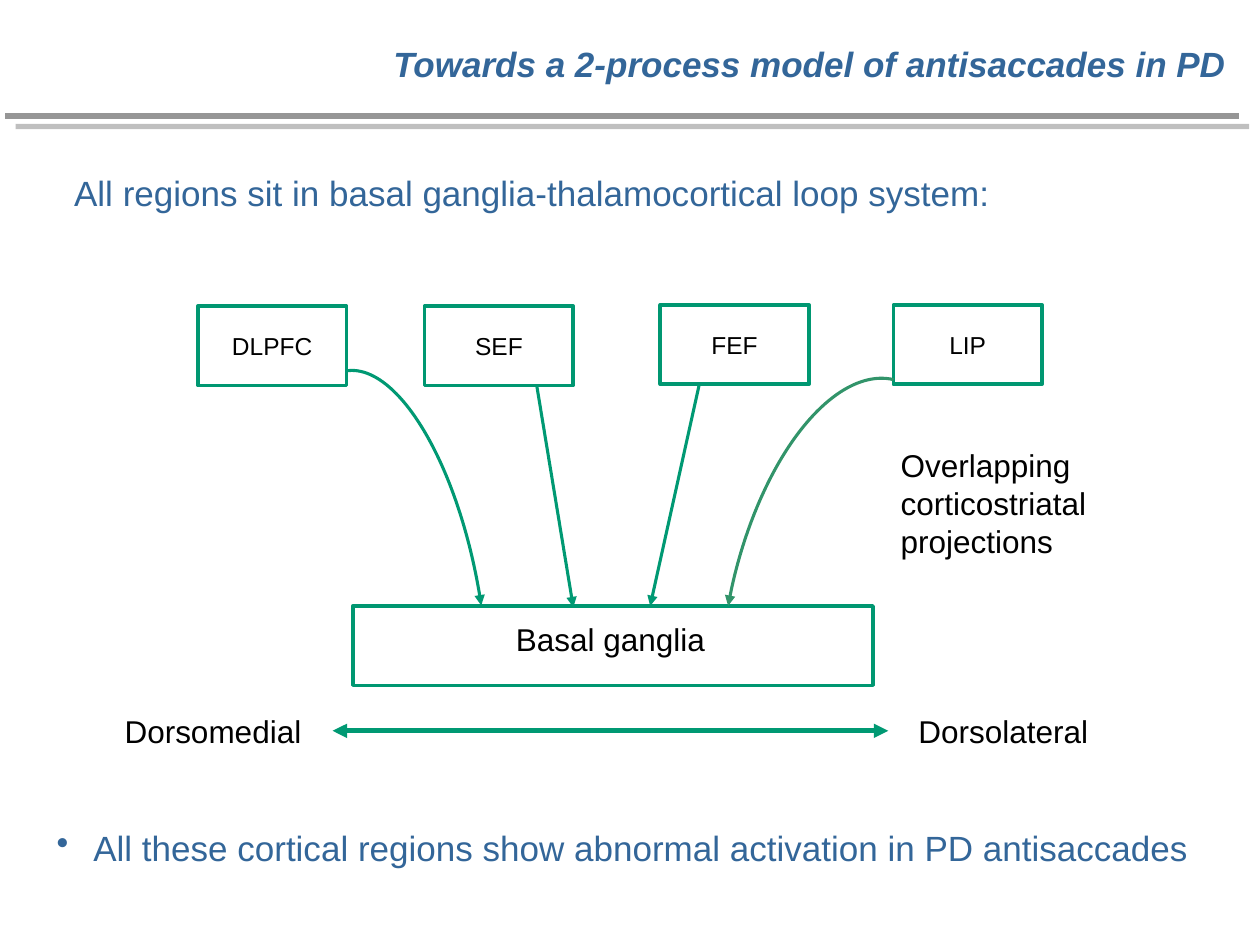
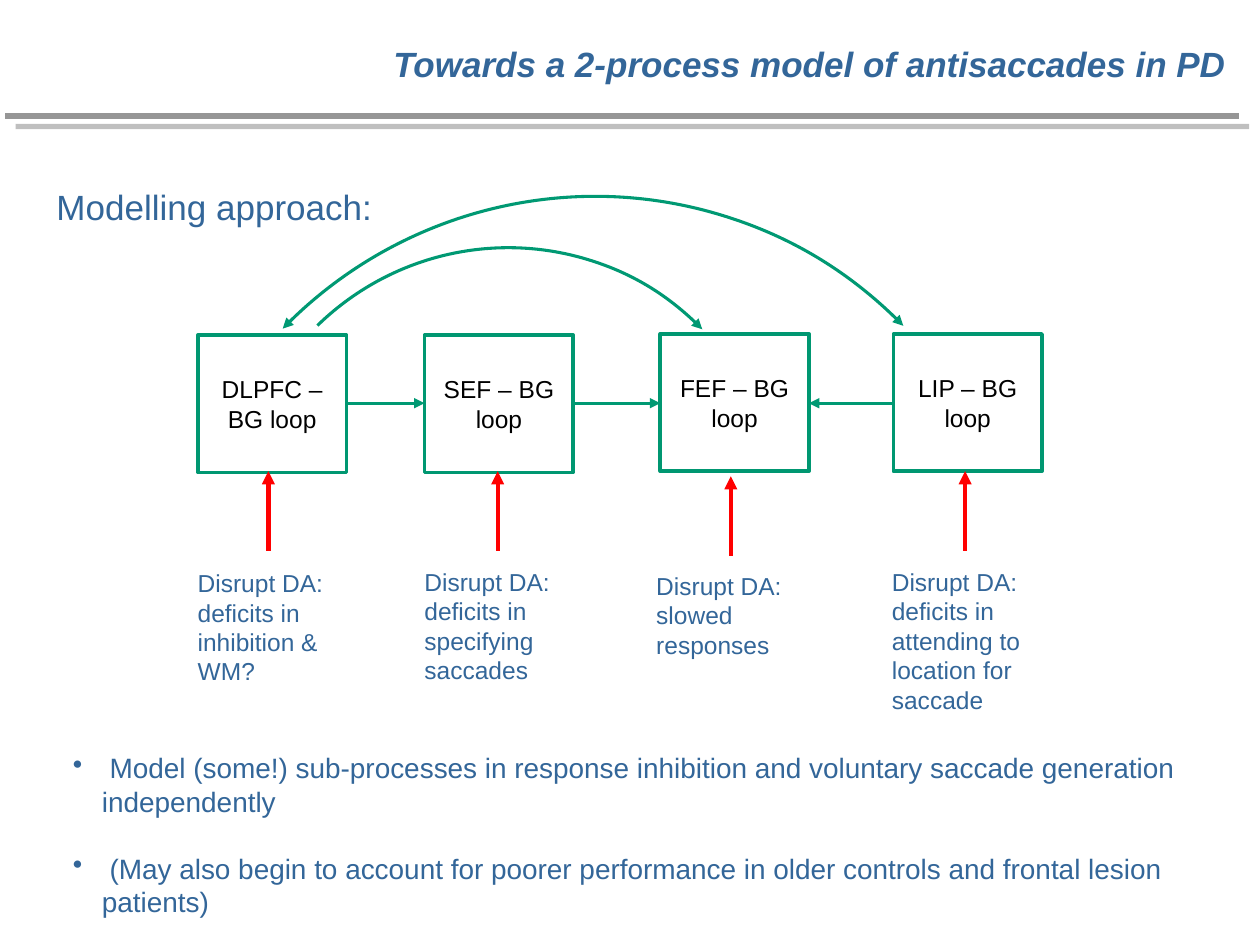
"""Builds two slides on a 2-process model of antisaccades in PD."""
from lxml import etree
from pptx import Presentation
from pptx.dml.color import RGBColor
from pptx.enum.shapes import MSO_CONNECTOR, MSO_SHAPE
from pptx.enum.text import MSO_ANCHOR, PP_ALIGN
from pptx.oxml.ns import qn
from pptx.util import Inches, Pt

STRAIGHT = MSO_CONNECTOR.STRAIGHT
RECTANGLE, ARC = MSO_SHAPE.RECTANGLE, MSO_SHAPE.ARC
LEFT, CENTER, RIGHT = PP_ALIGN.LEFT, PP_ALIGN.CENTER, PP_ALIGN.RIGHT
TOP, MIDDLE = MSO_ANCHOR.TOP, MSO_ANCHOR.MIDDLE

FONT = "Arial"
BLUE, BLACK, GREY, SHADOW = "336699", "000000", "969696", "808080"
BOX_GREEN, ARROW_GREEN, ARC_GREEN, RED = "009771", "009973", "32946A", "FF0000"
TITLE = "Towards a 2-process model of antisaccades in PD"
REGION_LEFTS = [1.57, 3.37, 5.24, 7.09]
REGION_WIDTH = 1.18
BULLET_INDENT = Inches(0.23)


def write(shape, text, size=14, color=BLUE, align=LEFT, anchor=TOP,
          bold=False, italic=False, bullet=False, gap=0):
    """Fills a shape with formatted paragraphs, one per line of text."""
    frame = shape.text_frame
    frame.word_wrap = True
    frame.vertical_anchor = anchor
    frame.text = text
    for index, paragraph in enumerate(frame.paragraphs):
        paragraph.alignment = align
        paragraph.space_before = Pt(gap if index else 0)
        font = paragraph.font
        font.name, font.size, font.bold, font.italic = FONT, Pt(size), bold, italic
        font.color.rgb = RGBColor.from_string(color)
        for run in paragraph.runs:
            run.font.name, run.font.size = FONT, Pt(size)
            run.font.bold, run.font.italic = bold, italic
            run.font.color.rgb = RGBColor.from_string(color)
        if bullet:
            properties = paragraph._p.get_or_add_pPr()
            properties.set("marL", str(BULLET_INDENT))
            properties.set("indent", str(-BULLET_INDENT))
            mark = etree.Element(qn("a:buChar"), char="•")
            properties.find(qn("a:defRPr")).addprevious(mark)


def stroke(shape, color, width, head=False, tail=False):
    """Styles an outline with optional arrowheads and returns its empty effect list."""
    shape.line.color.rgb = RGBColor.from_string(color)
    shape.line.width = Pt(width)
    outline = shape.line._get_or_add_ln()
    for wanted, tag in ((head, "a:headEnd"), (tail, "a:tailEnd")):
        if wanted:
            etree.SubElement(outline, qn(tag), type="triangle")
    return etree.SubElement(shape._element.spPr, qn("a:effectLst"))


presentation = Presentation()
presentation.slide_width, presentation.slide_height = Inches(10), Inches(7.5)
blank_layout = presentation.slide_layouts[6]
slides = [presentation.slides.add_slide(blank_layout) for _ in range(2)]
loops_slide, model_slide = slides

for slide in slides:
    rule = slide.shapes.add_connector(
        STRAIGHT, Inches(0.04), Inches(0.92), Inches(9.83), Inches(0.92))
    effects = stroke(rule, GREY, 3)
    shadow = etree.SubElement(effects, qn("a:outerShdw"), dist=str(Pt(8.5)),
                              dir="2700000", algn="ctr", rotWithShape="0")
    shadow_color = etree.SubElement(shadow, qn("a:srgbClr"), val=SHADOW)
    etree.SubElement(shadow_color, qn("a:alpha"), val="50000")
    title = slide.shapes.add_textbox(Inches(2.33), Inches(0.17), Inches(7.5), Inches(0.67))
    write(title, TITLE, size=20, align=RIGHT, anchor=MIDDLE, bold=True, italic=True)

boxes = [(loops_slide, 2.8, 4.81, 4.13, 0.63, "")]
loop_names = ["DLPFC", "SEF", "FEF", "LIP"]
model_names = ["DLPFC – BG loop", "SEF – BG loop", "FEF – BG\nloop", "LIP – BG\nloop"]
loop_tops, model_tops = [2.43, 2.43, 2.42, 2.42], [2.66, 2.66, 2.65, 2.65]
for left, top, name in zip(REGION_LEFTS, loop_tops, loop_names):
    boxes.append((loops_slide, left, top, REGION_WIDTH, 0.63, name))
for left, top, name in zip(REGION_LEFTS, model_tops, model_names):
    boxes.append((model_slide, left, top, REGION_WIDTH, 1.09, name))
for slide, left, top, width, height, name in boxes:
    box = slide.shapes.add_shape(
        RECTANGLE, Inches(left), Inches(top), Inches(width), Inches(height))
    box.fill.background()
    stroke(box, BOX_GREEN, 2)
    if name:
        write(box, name, color=BLACK, align=CENTER, anchor=MIDDLE)

black_label = dict(size=18, color=BLACK)
labels = [
    (loops_slide, 0.49, 1.31, 7.53, 0.44,
     "All regions sit in basal ganglia-thalamocortical loop system:", dict(size=20)),
    (loops_slide, 2.76, 4.87, 4.17, 0.4, "Basal ganglia",
     dict(black_label, align=CENTER)),
    (loops_slide, 0.89, 5.6, 1.61, 0.4, "Dorsomedial", black_label),
    (loops_slide, 7.19, 5.6, 1.61, 0.4, "Dorsolateral", black_label),
    (loops_slide, 7.05, 3.49, 1.78, 1.01,
     "Overlapping corticostriatal projections", black_label),
    (loops_slide, 0.35, 6.51, 9.48, 0.77,
     " All these cortical regions show abnormal activation in PD antisaccades",
     dict(size=20, bullet=True)),
    (model_slide, 0.35, 1.42, 2.73, 0.44, "Modelling approach:", dict(size=20)),
    (model_slide, 0.48, 5.91, 9.48, 1.72,
     " Model (some!) sub-processes in response inhibition and voluntary saccade "
     "generation independently\n"
     " (May also begin to account for poorer performance in older controls and "
     "frontal lesion patients)", dict(size=16, bullet=True, gap=19)),
    (model_slide, 1.47, 4.46, 1.42, 1.04,
     "Disrupt DA: deficits in inhibition & WM?", {}),
    (model_slide, 3.27, 4.45, 1.47, 1.04,
     "Disrupt DA: deficits in specifying saccades", {}),
    (model_slide, 5.11, 4.48, 1.47, 0.81, "Disrupt DA: slowed responses", {}),
    (model_slide, 6.98, 4.45, 1.47, 1.28,
     "Disrupt DA: deficits in attending to location for saccade", {}),
]
for slide, left, top, width, height, text, text_format in labels:
    label = slide.shapes.add_textbox(
        Inches(left), Inches(top), Inches(width), Inches(height))
    write(label, text, **text_format)

arrows = [
    (loops_slide, 2.64, 5.8, 7.05, 5.8, ARROW_GREEN, 2.75, True),
    (loops_slide, 4.26, 3.06, 4.55, 4.82, ARROW_GREEN, 1.75, False),
    (loops_slide, 5.55, 3.05, 5.16, 4.81, ARROW_GREEN, 1.75, False),
]
for start, end in ((2.76, 3.37), (4.55, 5.24), (7.09, 6.42)):
    arrows.append((model_slide, start, 3.2, end, 3.2, ARROW_GREEN, 1.75, False))
for center, tip in ((2.13, 3.74), (3.95, 3.74), (5.8, 3.78), (7.66, 3.74)):
    arrows.append((model_slide, center, tip + 0.63, center, tip, RED, 2.5, False))
for slide, start_x, start_y, end_x, end_y, color, width, double in arrows:
    arrow = slide.shapes.add_connector(
        STRAIGHT, Inches(start_x), Inches(start_y), Inches(end_x), Inches(end_y))
    stroke(arrow, color, width, head=double, tail=True)

arcs = [
    (loops_slide, 4.82, 3.94, 3.71, 1.76, 283, 154.63, False, ARC_GREEN, True, False),
    (loops_slide, 1.21, 4.05, 3.73, 1.46, 259.7, 154.63, True, ARROW_GREEN, True, False),
    (model_slide, 1.86, 1.97, 4.33, 4.31, 315.7, 162, False, ARROW_GREEN, False, True),
    (model_slide, 1.25, 1.57, 6.9, 6.85, 315.7, 161.09, False, ARROW_GREEN, True, True),
]
for slide, left, top, width, height, rotation, start, flipped, color, head, tail in arcs:
    arc = slide.shapes.add_shape(
        ARC, Inches(left), Inches(top), Inches(width), Inches(height))
    arc.adjustments[0] = start
    arc.adjustments[1] = 0
    arc.rotation = rotation
    if flipped:
        arc._element.spPr.find(qn("a:xfrm")).set("flipV", "1")
    arc.fill.background()
    stroke(arc, color, 1.75, head=head, tail=tail)

presentation.save("out.pptx")
